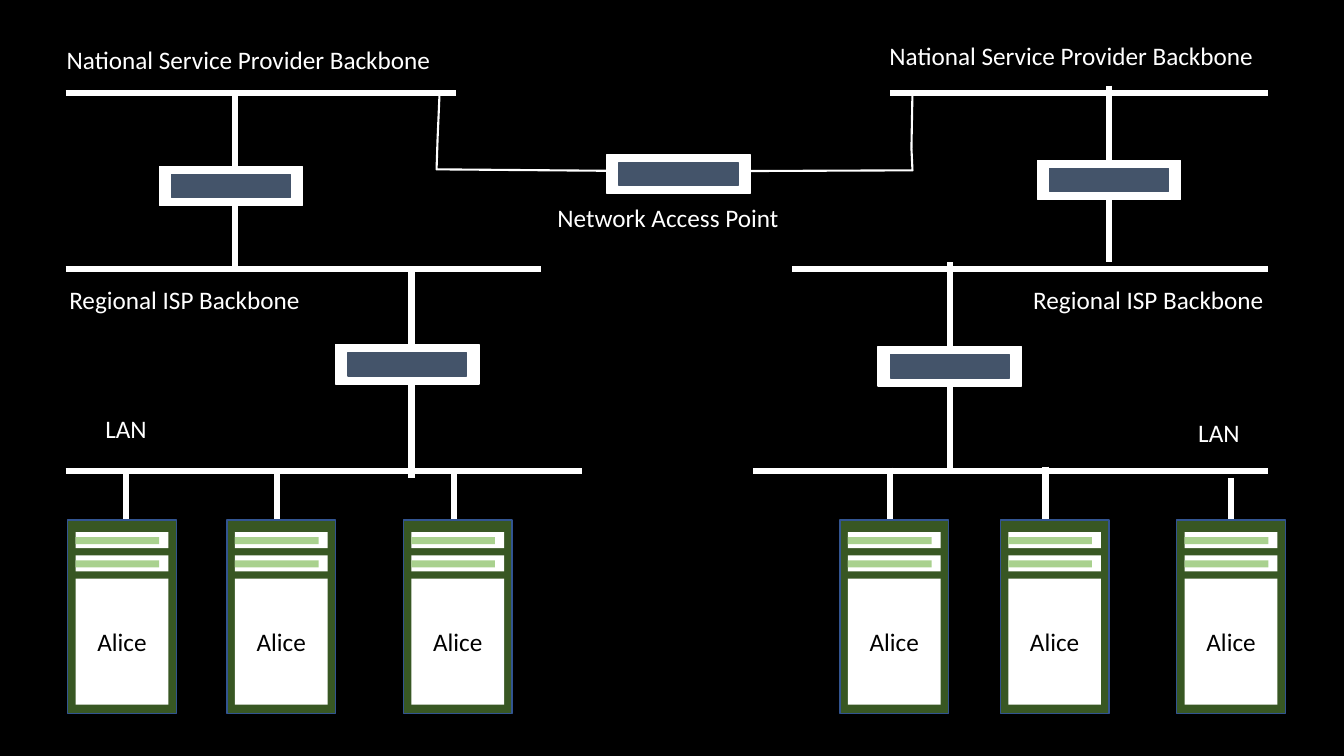
from lxml import etree
from pptx import Presentation
from pptx.dml.color import RGBColor
from pptx.enum.shapes import MSO_CONNECTOR, MSO_SHAPE
from pptx.enum.text import MSO_ANCHOR, PP_ALIGN
from pptx.oxml.ns import qn
from pptx.util import Pt

PX = 9144  # 100 px to the inch
STRAIGHT = MSO_CONNECTOR.STRAIGHT
RECTANGLE = MSO_SHAPE.RECTANGLE
MIDDLE = MSO_ANCHOR.MIDDLE
CENTER = PP_ALIGN.CENTER

BLACK, WHITE = "000000", "FFFFFF"
ROUTER_CORE = "44546A"
HOST_CASE, HOST_EDGE, HOST_SLOT = "385723", "325491", "A9D18E"

# text, left, top, width, height
LABELS = [
    ("National Service Provider Backbone", 34, 42, 425, 33),
    ("National Service Provider Backbone", 850, 39, 425, 33),
    ("Network Access Point", 450, 199, 425, 33),
    ("Regional ISP Backbone", 33, 279, 300, 37),
    ("Regional ISP Backbone", 989, 279, 300, 37),
    ("LAN", 75, 400, 100, 50),
    ("LAN", 1159, 404, 100, 50),
]

# left, right, y
BACKBONES = [
    (65, 452, 92), (883, 1258, 92),
    (65, 537, 267), (786, 1258, 267),
    (65, 577, 467), (747, 1258, 467),
]

# x, top, length
UPLINKS = [(233, 92, 175), (1100, 85, 175), (408, 267, 207), (942, 260, 207)]
HOST_DROPS = [(125, 467, 70), (275, 470, 70), (450, 470, 70),
              (883, 464, 70), (1037, 463, 70), (1221, 474, 70)]

ACCESS_LINK = [(436, 92), (434, 138), (433, 168), (668, 170),
               (905, 169), (904, 147), (905, 91)]

ROUTERS = [(158, 165), (1029, 159), (333, 342), (871, 344), (602, 153)]
ROUTER_SIZE = (142, 39)
ROUTER_MARGIN = (12, 8)

HOST_NAME = "Alice"
HOST_LEFTS = [67, 225, 400, 833, 992, 1167]
HOST_TOP = 516
HOST_SIZE = (108, 192)
HOST_PAD = 8
PANEL_WIDTH = 92
SLOT_TOPS = [12, 35]


def color(hex_string):
    return RGBColor.from_string(hex_string)


def add_line(shapes, x1, y1, x2, y2):
    line = shapes.add_connector(STRAIGHT, x1 * PX, y1 * PX, x2 * PX, y2 * PX)
    line.line.color.rgb = color(WHITE)
    line.line.width = Pt(4.5)
    etree.SubElement(line._element.spPr, qn("a:effectLst"))


def add_box(shapes, left, top, width, height, fill, edge=None):
    box = shapes.add_shape(RECTANGLE, left * PX, top * PX, width * PX, height * PX)
    box.shadow.inherit = False
    box.fill.solid()
    box.fill.fore_color.rgb = color(fill)
    if edge:
        box.line.color.rgb = color(edge)
        box.line.width = Pt(1)
    else:
        box.line.fill.background()
    return box


def write(shape, text, text_color):
    frame = shape.text_frame
    frame.word_wrap = True
    frame.vertical_anchor = MIDDLE
    frame.text = text
    paragraph = frame.paragraphs[0]
    paragraph.alignment = CENTER
    font = paragraph.runs[0].font
    font.name = "Calibri"
    font.size = Pt(18)
    font.color.rgb = color(text_color)


def add_access_link(shapes):
    builder = shapes.build_freeform(*ACCESS_LINK[0], scale=PX)
    builder.add_line_segments(ACCESS_LINK[1:], close=False)
    link = builder.convert_to_shape()
    link.shadow.inherit = False
    link.fill.background()
    link.line.color.rgb = color(WHITE)
    link.line.width = Pt(1.5)


def add_router(shapes, left, top):
    parts = shapes.add_group_shape().shapes
    width, height = ROUTER_SIZE
    dx, dy = ROUTER_MARGIN
    add_box(parts, left, top, width, height, WHITE, WHITE)
    add_box(parts, left + dx, top + dy, width - 2 * dx, height - 2 * dy,
            ROUTER_CORE, ROUTER_CORE)


def add_host(shapes, left):
    parts = shapes.add_group_shape().shapes
    add_box(parts, left, HOST_TOP, *HOST_SIZE, HOST_CASE, HOST_EDGE)
    inner = left + HOST_PAD
    screen = add_box(parts, inner, HOST_TOP + 58, PANEL_WIDTH, 125, WHITE)
    write(screen, HOST_NAME, BLACK)
    for offset in SLOT_TOPS:
        slot_top = HOST_TOP + offset
        add_box(parts, inner, slot_top, PANEL_WIDTH, 16, WHITE)
        add_box(parts, inner, slot_top + 5, PANEL_WIDTH - 9, 7, HOST_SLOT)


def main():
    deck = Presentation()
    deck.slide_width, deck.slide_height = 1333 * PX, 750 * PX
    slide = deck.slides.add_slide(deck.slide_layouts[6])
    slide.background.fill.solid()
    slide.background.fill.fore_color.rgb = color(BLACK)
    shapes = slide.shapes

    for left, right, y in BACKBONES:
        add_line(shapes, left, y, right, y)
    for x, top, length in UPLINKS + HOST_DROPS:
        add_line(shapes, x, top, x, top + length)
    add_access_link(shapes)
    for text, left, top, width, height in LABELS:
        label = shapes.add_textbox(left * PX, top * PX, width * PX, height * PX)
        write(label, text, WHITE)
    for left, top in ROUTERS:
        add_router(shapes, left, top)
    for left in HOST_LEFTS:
        add_host(shapes, left)

    deck.save("out.pptx")


if __name__ == "__main__":
    main()
